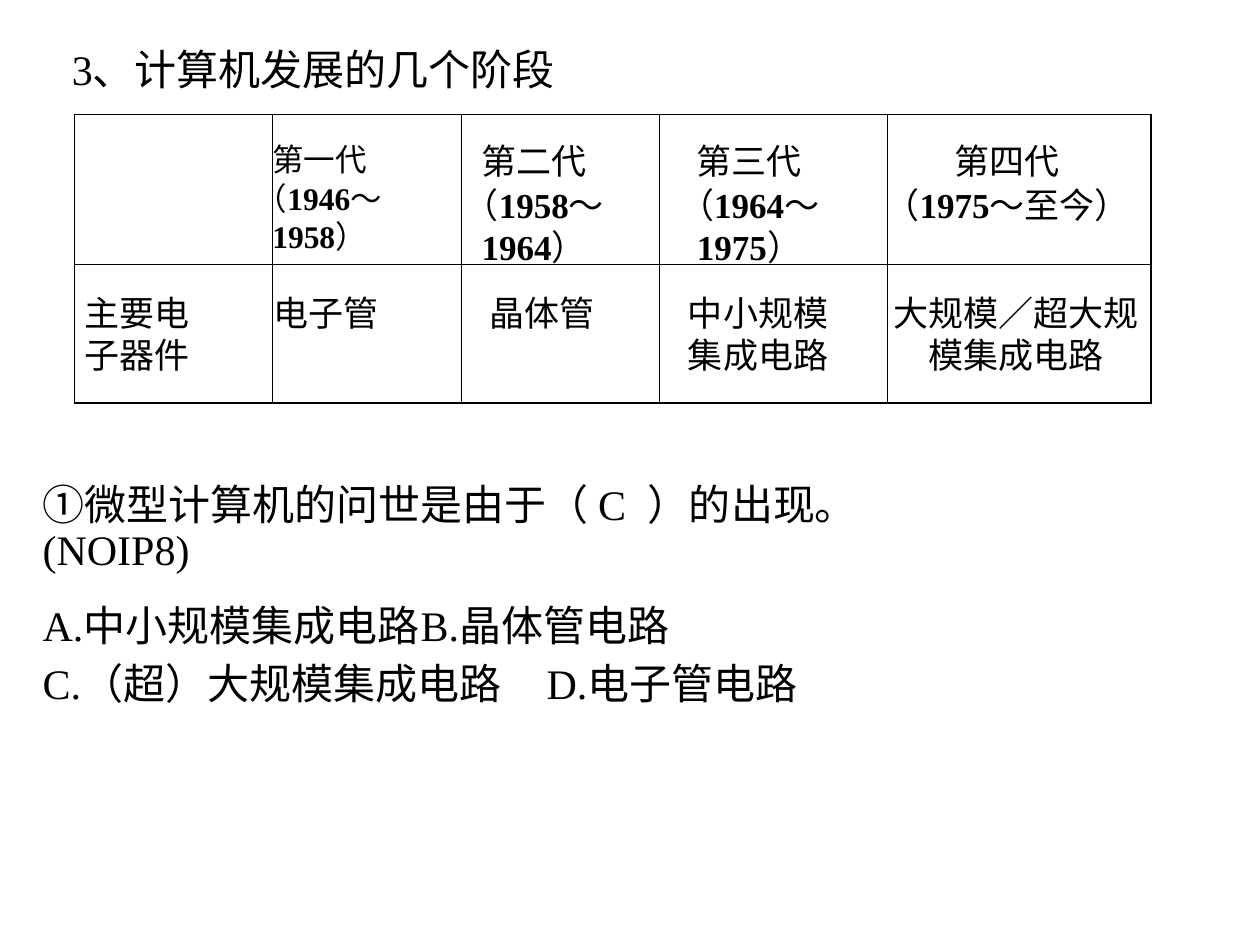
from itertools import groupby
from lxml import etree
from pptx import Presentation
from pptx.dml.color import RGBColor
from pptx.enum import text
from pptx.oxml.ns import qn
from pptx.util import Cm, Pt

COLORS = {"ink": "000000"}
FONT = "Times New Roman"
SLACK = 0.2

TITLE = "3、计算机发展的几个阶段"
TITLE_AREA = (1.45, 0.97, 9.93, 0.91)

TABLE_LEFT, TABLE_TOP = 1.5, 2.31
COLUMNS = [3.99, 3.81, 3.99, 4.6, 5.31]
ROWS = [3.02, 2.79]
OUTER, INNER = 1.08, 0.45

HEADER_TOP, HEADER_SPACING = 2.95, (1, 1.25, 1.2)
HEADERS = [
    (5.16, 2.84, 18, [("第一代", 0.33), ("（1946～", 0), ("1958）", 0.33)]),
    (9.35, 3.18, 20, [("第二代", 0.36), ("（1958～", 0), ("1964）", 0.36)]),
    (13.69, 3.18, 20, [("第三代", 0.36), ("（1964～", 0), ("1975）", 0.36)]),
    (17.83, 5.28, 20, [("第四代", 1.42), ("（1975～至今）", 0)]),
]
DEVICE_TOP, DEVICE_SPACING = 6.02, (1, 1.2)
DEVICES = [
    (1.7, 2.13, 20, [("主要电", 0), ("子器件", 0)]),
    (5.51, 2.13, 20, [("电子管", 0)]),
    (9.86, 2.13, 20, [("晶体管", 0)]),
    (13.87, 2.82, 20, [("中小规模", 0), ("集成电路", 0)]),
    (18.01, 4.95, 20, [("大规模／超大规", 0), ("模集成电路", 0.71)]),
]

QUESTION_AREA = (0.86, 9.75, 19.05, 3.61)
QUESTION = "①微型计算机的问世是由于（ C  ）的出现。(NOIP8)"
OPTIONS = [
    ("A.中小规模集成电路", "B.晶体管电路", 10.08),
    ("C.（超）大规模集成电路", "D.电子管电路", 11.35),
]


def place(box, left, top, width, height):
    box.left, box.top, box.width, box.height = map(Cm, (left, top, width + SLACK, height))
    frame = box.text_frame
    frame.margin_left = frame.margin_right = frame.margin_top = frame.margin_bottom = 0
    frame.word_wrap = True
    frame.auto_size = text.MSO_AUTO_SIZE.NONE
    frame.vertical_anchor = text.MSO_ANCHOR.TOP
    return frame


def write(para, words, size, spacing, indent=0, bold_digits=False):
    para.alignment = text.PP_ALIGN.LEFT
    para.line_spacing = Pt(spacing)
    para.space_before = para.space_after = Pt(0)
    para.font.name, para.font.size = FONT, Pt(size)
    para.font.color.rgb = RGBColor.from_string(COLORS["ink"])
    properties = para._p.get_or_add_pPr()
    properties.set("marL", str(Cm(indent)))
    properties.set("indent", "0")
    groups = groupby(words, str.isdigit) if bold_digits else [(False, words)]
    for is_number, letters in groups:
        span = para.add_run()
        span.text = "".join(letters)
        if bold_digits:
            span.font.bold = is_number


def add_tab(para, position):
    properties = para._p.get_or_add_pPr()
    stops = etree.Element(qn("a:tabLst"))
    etree.SubElement(stops, qn("a:tab"), pos=str(Cm(position)), algn="l")
    properties.find(qn("a:defRPr")).addprevious(stops)


def add_labels(page, labels, top, spacing, bold_digits):
    for left, width, size, lines in labels:
        heights = [size * factor for factor in spacing[:len(lines)]]
        box = page.shapes.add_textbox(0, 0, 0, 0)
        frame = place(box, left, top, width, Pt(sum(heights)).cm)
        for index, ((words, indent), height) in enumerate(zip(lines, heights)):
            para = frame.add_paragraph() if index else frame.paragraphs[0]
            write(para, words, size, height, indent, bold_digits)


def set_borders(cell, widths):
    properties = cell._tc.get_or_add_tcPr()
    for index, (side, width) in enumerate(widths.items()):
        line = etree.Element(qn(f"a:ln{side}"), w=str(Pt(width)))
        fill = etree.SubElement(line, qn("a:solidFill"))
        etree.SubElement(fill, qn("a:srgbClr"), val=COLORS["ink"])
        properties.insert(index, line)


def add_grid(page):
    table = page.shapes.add_table(
        len(ROWS), len(COLUMNS), Cm(TABLE_LEFT), Cm(TABLE_TOP),
        Cm(sum(COLUMNS)), Cm(sum(ROWS))).table
    table.first_row = table.horz_banding = False
    for column, width in zip(table.columns, COLUMNS):
        column.width = Cm(width)
    for row, height in zip(table.rows, ROWS):
        row.height = Cm(height)
    for r in range(len(ROWS)):
        for c in range(len(COLUMNS)):
            cell = table.cell(r, c)
            cell.fill.background()
            edges = {"L": c == 0, "R": c == len(COLUMNS) - 1,
                     "T": r == 0, "B": r == len(ROWS) - 1}
            set_borders(cell, {side: OUTER if edge else INNER
                               for side, edge in edges.items()})


def add_question(page):
    frame = place(page.shapes.add_textbox(0, 0, 0, 0), *QUESTION_AREA)
    write(frame.paragraphs[0], QUESTION, 24, 25.9)
    for index, (first, second, position) in enumerate(OPTIONS):
        para = frame.add_paragraph()
        write(para, f"{first}\t{second}", 24, 33.2)
        add_tab(para, position)
        if index == 0:
            para.space_before = Pt(10)


def main():
    deck = Presentation()
    deck.slide_width, deck.slide_height = Cm(25.4), Cm(19.05)
    page = deck.slides.add_slide(deck.slide_layouts[5])
    title = place(page.shapes.title, *TITLE_AREA)
    write(title.paragraphs[0], TITLE, 24, 25.9)
    add_grid(page)
    add_labels(page, HEADERS, HEADER_TOP, HEADER_SPACING, True)
    add_labels(page, DEVICES, DEVICE_TOP, DEVICE_SPACING, False)
    add_question(page)
    deck.save("out.pptx")


if __name__ == "__main__":
    main()
